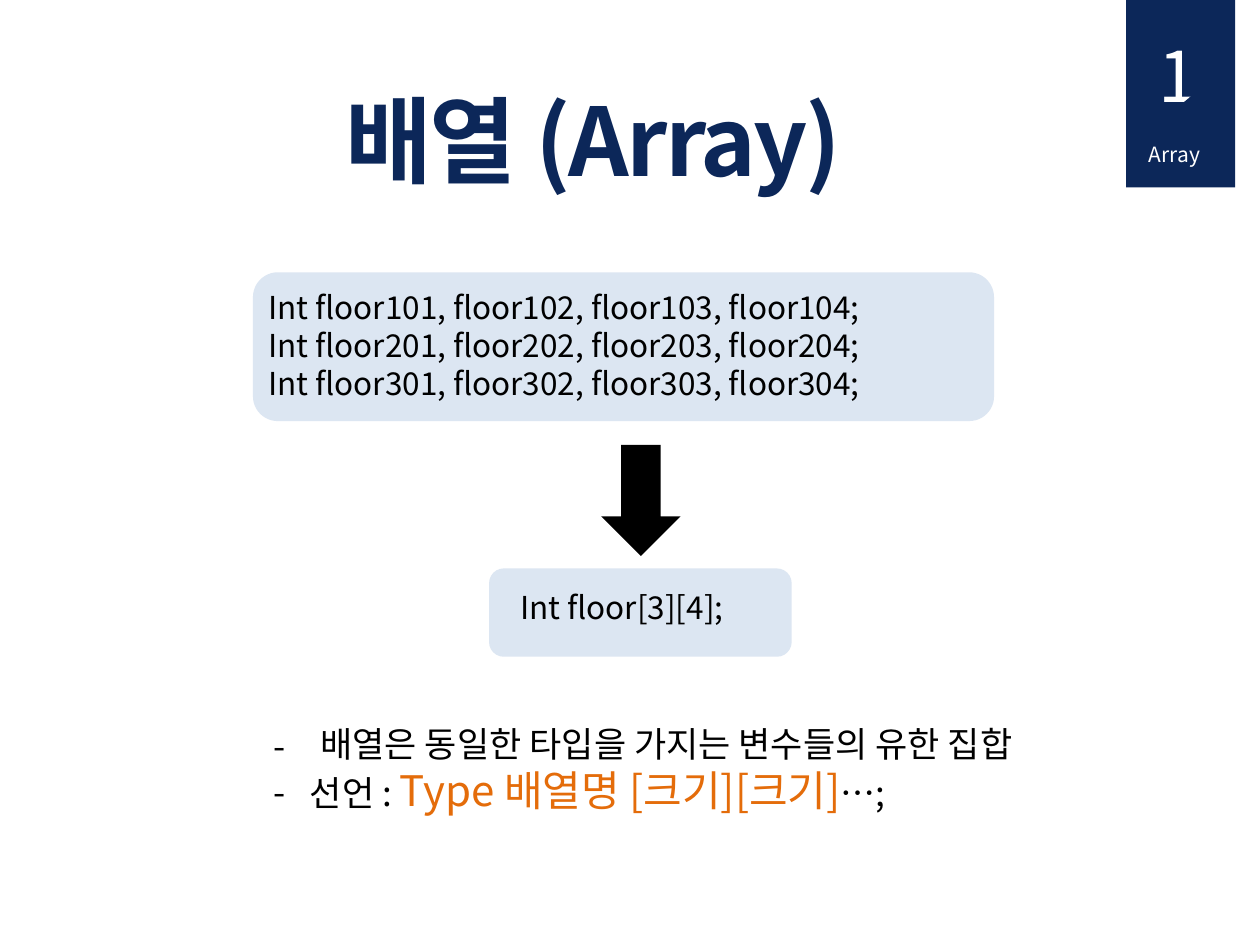
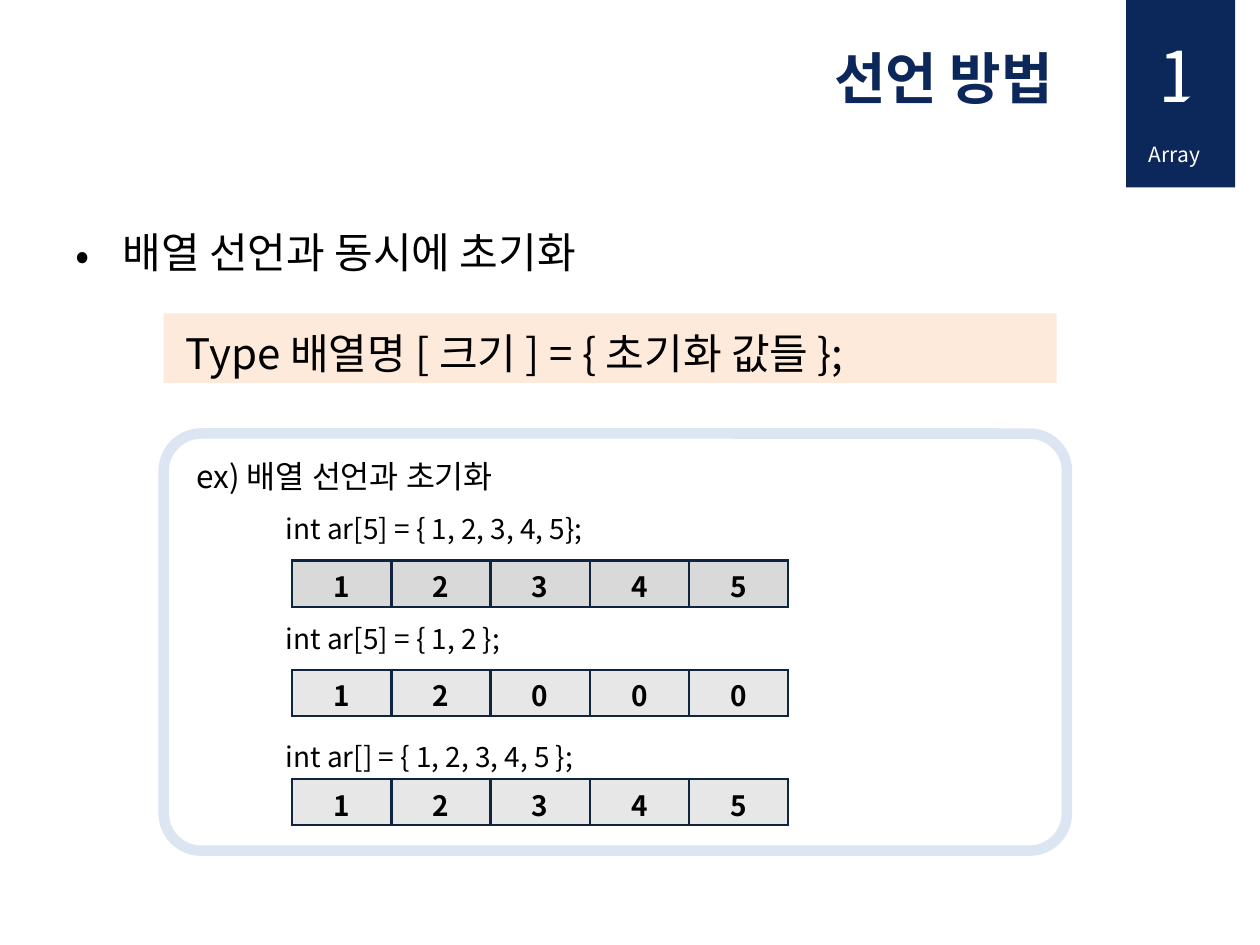
from dataclasses import dataclass

from lxml.etree import SubElement
from pptx import Presentation
from pptx.dml.color import RGBColor
from pptx.enum.shapes import MSO_SHAPE as Preset
from pptx.enum.text import MSO_ANCHOR as Anchor, MSO_AUTO_SIZE as AutoSize, PP_ALIGN as Align
from pptx.oxml.ns import qn
from pptx.util import Cm, Pt


@dataclass(frozen=True)
class Theme:
    font: str = "Noto Sans CJK KR"
    navy: str = "0C2759"
    white: str = "FFFFFF"
    black: str = "000000"
    pale_blue: str = "DCE6F2"
    peach: str = "FDEADA"
    orange: str = "E46C0A"
    border: str = "0F243E"
    dark_cell: str = "D9D9D9"
    light_cell: str = "E7E7E7"
    cover_title: int = 54
    number: int = 40
    title: int = 32
    syntax: int = 24
    body: int = 20
    code: int = 18
    example: int = 16
    label: int = 12


theme = Theme()


def add_panel(shapes, preset, box, fill=None):
    shape = shapes.add_shape(preset, *map(Cm, box))
    shape.shadow.inherit = False
    shape.line.fill.background()
    if fill:
        shape.fill.solid()
        shape.fill.fore_color.rgb = RGBColor.from_string(fill)
    else:
        shape.fill.background()
    return shape


def write_text(frame, lines, size, color=theme.black, bold=False, align=Align.LEFT):
    frame.word_wrap = True
    for index, line in enumerate(lines):
        paragraph = frame.add_paragraph() if index else frame.paragraphs[0]
        paragraph.alignment = align
        for text, run_size, run_color in [(line, size, color)] if isinstance(line, str) else line:
            run = paragraph.add_run()
            run.text = text
            run.font.size = Pt(run_size)
            run.font.bold = bold
            run.font.color.rgb = RGBColor.from_string(run_color)
            run.font.name = theme.font
            SubElement(run.font._element, qn("a:ea"), typeface=theme.font)
    return frame.paragraphs


presentation = Presentation()
presentation.slide_width, presentation.slide_height = Cm(25.4), Cm(19.05)

titles = [
    ("배열 (Array)", theme.cover_title, (6.71, 1.52, 12.45, 2.57)),
    ("선언 방법", theme.title, (16.56, 0.74, 6.12, 1.63)),
]
for text, size, box in titles:
    slide = presentation.slides.add_slide(presentation.slide_layouts[5])
    title = slide.shapes.title
    title.left, title.top, title.width, title.height = map(Cm, box)
    title.text_frame.auto_size = AutoSize.NONE
    title.text_frame.vertical_anchor = Anchor.TOP
    write_text(title.text_frame, [text], size, theme.navy, True)

    add_panel(slide.shapes, Preset.RECTANGLE, (22.7, 0, 2.2, 3.78), theme.navy)
    section_label = slide.shapes.add_textbox(Cm(22.91), Cm(2.72), Cm(2), Cm(0.76))
    write_text(section_label.text_frame, ["Array"], theme.label, theme.white, align=Align.JUSTIFY)
    section_number = slide.shapes.add_group_shape()
    digit = section_number.shapes.add_textbox(Cm(23.11), Cm(0.53), Cm(1.6), Cm(1.96))
    write_text(digit.text_frame, ["1"], theme.number, theme.white)
    corner = add_panel(section_number.shapes, Preset.ISOSCELES_TRIANGLE, (23.32, 1.52, 1.19, 1), theme.navy)
    corner.adjustments[0] = 1

array_slide, declaration_slide = presentation.slides
title_run = array_slide.shapes.title.text_frame.paragraphs[0].runs[0]
title_run.font._element.set("spc", "-150")

shapes = array_slide.shapes
add_panel(shapes, Preset.ROUNDED_RECTANGLE, (5.1, 5.49, 14.94, 3), theme.pale_blue)
add_panel(shapes, Preset.ROUNDED_RECTANGLE, (9.86, 11.46, 6.1, 1.78), theme.pale_blue)
add_panel(shapes, Preset.DOWN_ARROW, (12.12, 8.97, 1.6, 2.24), theme.black)

floor_variables = [
    "Int " + ", ".join(f"floor{floor}0{room}" for room in range(1, 5)) + ";"
    for floor in range(1, 4)
]
for box, lines in [
    ((5.16, 5.69, 14.94, 3.33), floor_variables),
    ((10.24, 11.73, 5.44, 1.8), ["Int floor[3][4];"]),
]:
    code_box = shapes.add_textbox(*map(Cm, box))
    write_text(code_box.text_frame, lines, theme.code)

definition = shapes.add_textbox(Cm(5.26), Cm(14.45), Cm(18.82), Cm(4.09))
definition_lines = write_text(definition.text_frame, [
    "배열은 동일한 타입을 가지는 변수들의 유한 집합",
    [
        ("선언 : ", theme.body, theme.black),
        ("Type 배열명 [크기][크기]", theme.syntax, theme.orange),
        ("…;", theme.body, theme.black),
    ],
], theme.body)

shapes = declaration_slide.shapes
add_panel(shapes, Preset.RECTANGLE, (3.3, 6.32, 18, 1.4), theme.peach)
topic = shapes.add_textbox(Cm(1.27), Cm(4.45), Cm(22.86), Cm(1.5))
topic_lines = write_text(topic.text_frame, ["배열 선언과 동시에 초기화"], theme.syntax)

for paragraph, indent, bullet in [
    (definition_lines[0], 0.95, "-"),
    (definition_lines[1], 0.74, "-"),
    (topic_lines[0], 0.95, "•"),
]:
    properties = paragraph._p.get_or_add_pPr()
    properties.set("marL", str(Cm(indent)))
    properties.set("indent", str(-Cm(indent)))
    SubElement(properties, qn("a:buFont"), typeface=theme.font)
    SubElement(properties, qn("a:buChar"), char=bullet)

syntax = shapes.add_textbox(Cm(3.5), Cm(6.48), Cm(17.4), Cm(1.3))
write_text(syntax.text_frame, ["Type 배열명 [ 크기 ] = { 초기화 값들 };"], theme.syntax)

example_frame = add_panel(shapes, Preset.ROUNDED_RECTANGLE, (3.3, 8.74, 18.21, 8.41))
example_frame.adjustments[0] = 0.09
example_frame.line.color.rgb = RGBColor.from_string(theme.pale_blue)
example_frame.line.width = Pt(6)
example_heading = shapes.add_textbox(Cm(3.71), Cm(9.09), Cm(8.13), Cm(1.02))
write_text(example_heading.text_frame, ["ex) 배열 선언과 초기화"], theme.code)

examples = [
    ("int ar[5] = { 1, 2, 3, 4, 5};", 10.19, "12345", theme.dark_cell),
    ("int ar[5] = { 1, 2 };", 12.4, "12000", theme.light_cell),
    ("int ar[] = { 1, 2, 3, 4, 5 };", 14.78, "12345", theme.light_cell),
]
for index, (code, code_top, values, fill) in enumerate(examples):
    code_box = shapes.add_textbox(Cm(5.51), Cm(code_top), Cm(12.8), Cm(0.94))
    write_text(code_box.text_frame, [code], theme.example)

    table = shapes.add_table(1, len(values), Cm(5.89), Cm(11.3 + 2.2 * index), Cm(10), Cm(0.93)).table
    table.first_row = table.horz_banding = False
    for cell, value in zip(table.iter_cells(), values):
        cell.margin_top, cell.margin_bottom = Cm(0.1), 0
        write_text(cell.text_frame, [value], theme.example, bold=True, align=Align.CENTER)
        properties = cell._tc.get_or_add_tcPr()
        for side in ("a:lnL", "a:lnR", "a:lnT", "a:lnB"):
            line = SubElement(properties, qn(side), w=str(Pt(1.5)))
            SubElement(SubElement(line, qn("a:solidFill")), qn("a:srgbClr"), val=theme.border)
        cell.fill.solid()
        cell.fill.fore_color.rgb = RGBColor.from_string(fill)

presentation.save("out.pptx")
